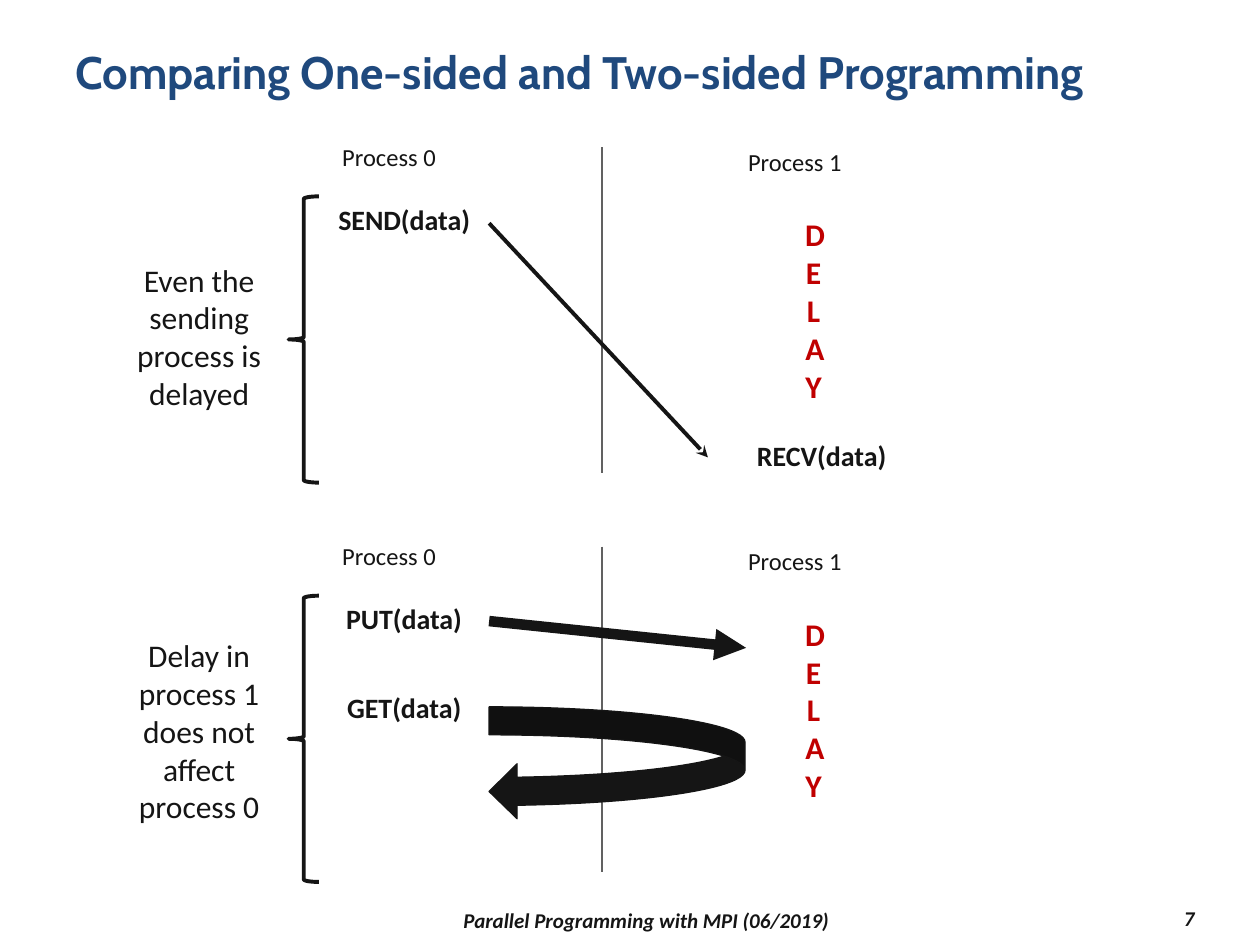
"""Build a slide comparing one-sided and two-sided message passing."""
from lxml import etree
from pptx import Presentation
from pptx.dml.color import RGBColor
from pptx.enum.shapes import MSO_CONNECTOR, MSO_SHAPE
from pptx.enum.text import MSO_ANCHOR, PP_ALIGN
from pptx.oxml.ns import qn
from pptx.util import Cm, Pt

LEFT, MID, RIGHT = PP_ALIGN.LEFT, PP_ALIGN.CENTER, PP_ALIGN.RIGHT
TOP, CENTER = MSO_ANCHOR.TOP, MSO_ANCHOR.MIDDLE
STRAIGHT = MSO_CONNECTOR.STRAIGHT
BRACE, CURVE = MSO_SHAPE.LEFT_BRACE, MSO_SHAPE.CURVED_LEFT_ARROW

NAVY = RGBColor(0x1F, 0x49, 0x7D)
INK = RGBColor(0x15, 0x15, 0x15)
GRAY = RGBColor(0x61, 0x61, 0x61)
RED = RGBColor(0xC0, 0x00, 0x00)

TITLE = "Comparing One-sided and Two-sided Programming"
FOOTER = "Parallel Programming with MPI (06/2019)"
PAGE = "7"
STEP = 8.05
PANELS = [
    {
        "note": ("Even the sending process is delayed", (2.21, 5.13, 3.61, 3.33)),
        "calls": [
            ("SEND(data)", (6.55, 3.96, 3.2, 0.94)),
            ("RECV(data)", (14.99, 8.71, 3.15, 0.94)),
        ],
        "arrow": ((9.86, 4.5, 14.27, 9.22), 2.25, "stealth"),
    },
    {
        "note": ("Delay in process 1 does not affect process 0", (2.21, 12.7, 3.61, 4.11)),
        "calls": [
            ("PUT(data)", (6.71, 12.01, 2.87, 0.94)),
            ("GET(data)", (6.73, 13.79, 2.84, 0.94)),
        ],
        "arrow": ((9.86, 12.52, 15.04, 13.06), 6, "triangle"),
    },
]

deck = Presentation()
deck.slide_width, deck.slide_height = Cm(25.4), Cm(19.05)
slide = deck.slides.add_slide(deck.slide_layouts[6])
shapes = slide.shapes


def write(text, box, size=18, font="Calibri", color=INK, bold=False,
          italic=False, align=MID, anchor=TOP, wrap=True):
    frame = shapes.add_textbox(*map(Cm, box)).text_frame
    frame.word_wrap = wrap
    frame.vertical_anchor = anchor
    para = frame.paragraphs[0]
    para.alignment = align
    run = para.add_run()
    run.text = text
    face = run.font
    face.name, face.size, face.bold, face.italic = font, Pt(size), bold, italic
    face.color.rgb = color


def draw_line(ends, width, color=INK, head=None):
    line = shapes.add_connector(STRAIGHT, *map(Cm, ends))
    line.line.color.rgb = color
    line.line.width = Pt(width)
    props = line._element.spPr
    etree.SubElement(props, qn("a:effectLst"))
    if head:
        etree.SubElement(props.find(qn("a:ln")), qn("a:tailEnd"), type=head)


def draw_shape(kind, box, width):
    shape = shapes.add_shape(kind, *map(Cm, box))
    shape.shadow.inherit = False
    shape.line.color.rgb = INK
    shape.line.width = Pt(width)
    return shape


def draw_panel(panel, down):
    write("Process 0", (6.65, 2.74 + down, 2.41, 0.86), size=14, align=LEFT, wrap=False)
    write("Process 1", (14.83, 2.84 + down, 3.66, 0.86), size=14, align=LEFT)
    draw_line((12.14, 2.97 + down, 12.14, 9.53 + down), 1, GRAY)
    for text, box in panel["calls"]:
        write(text, box, size=16, bold=True, wrap=False)
    ends, width, head = panel["arrow"]
    draw_line(ends, width, head=head)
    write("DELAY", (15.98, 4.22 + down, 0.84, 4.11), color=RED, bold=True)
    draw_shape(BRACE, (5.82, 3.96 + down, 0.61, 5.77), 2.25).fill.background()
    write(*panel["note"])


write(TITLE, (1.27, 0.76, 22.86, 2.21), size=26, font="Cabin", color=NAVY,
      bold=True, align=LEFT)
for i, panel in enumerate(PANELS):
    draw_panel(panel, i * STEP)

small = {"size": 12, "bold": True, "italic": True, "anchor": CENTER}
write(PAGE, (21.59, 18.16, 2.74, 0.69), align=RIGHT, **small)
write(FOOTER, (5.51, 18.21, 15.04, 0.69), **small)

loop = draw_shape(CURVE, (9.86, 14.25, 5.16, 2.26), 0.75)
loop.fill.solid()
loop.fill.fore_color.rgb = INK
for i, value in enumerate((0.25, 0.49, 0.25)):
    loop.adjustments[i] = value

deck.save("out.pptx")
